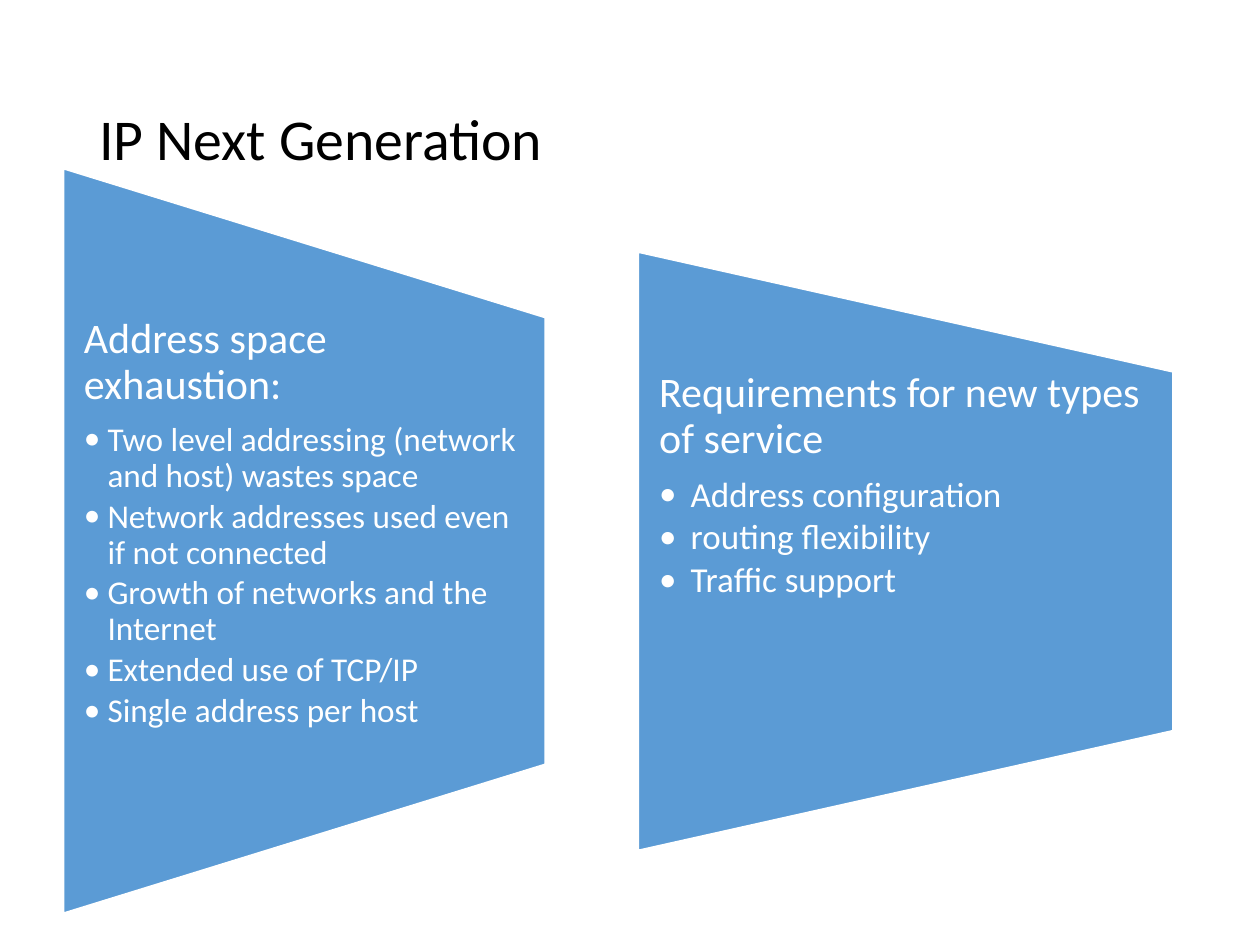
from dataclasses import dataclass

from lxml import etree
from pptx import Presentation
from pptx.dml.color import RGBColor
from pptx.enum import shapes, text
from pptx.oxml import ns
from pptx.util import Pt

FONT = "Calibri"
WHITE = "FFFFFF"
BLUE = "5B9BD5"
BLACK = "000000"


@dataclass(frozen=True)
class Box:
    left: float
    top: float
    width: float
    height: float

    def lengths(self) -> tuple:
        return Pt(self.left), Pt(self.top), Pt(self.width), Pt(self.height)

    def quarter_turned(self) -> "Box":
        shift = (self.width - self.height) / 2
        return Box(self.left + shift, self.top - shift, self.height, self.width)


@dataclass(frozen=True)
class Panel:
    outline: Box
    text_box: Box
    right_inset: float
    heading: str
    bullets: tuple[str, ...]
    bullet_size: float
    indent: float


PANELS = (
    Panel(
        Box(364.5, 143.75, 306, 342.5), Box(364.5, 212.4, 306, 205.9), 12.2,
        "Requirements for new types of service",
        ("Address configuration", "routing flexibility", "Traffic support"),
        20, 18,
    ),
    Panel(
        Box(36, 96, 275.8, 426.2), Box(35.8, 181.4, 275.8, 255.6), 11.5,
        "Address space exhaustion:",
        (
            "Two level addressing (network and host) wastes space",
            "Network addresses used even if not connected",
            "Growth of networks and the Internet",
            "Extended use of TCP/IP",
            "Single address per host",
        ),
        19, 13.5,
    ),
)


def colour(value: str) -> RGBColor:
    return RGBColor.from_string(value)


def format_paragraph(paragraph, size: float, value: str, space_after: float = 0) -> None:
    paragraph.alignment = text.PP_ALIGN.LEFT
    paragraph.line_spacing = 0.9
    paragraph.space_before = Pt(0)
    paragraph.space_after = Pt(space_after)
    paragraph.font.name = FONT
    paragraph.font.size = Pt(size)
    paragraph.font.color.rgb = colour(value)


def add_bullet(paragraph, indent: float) -> None:
    properties = paragraph._p.get_or_add_pPr()
    properties.set("marL", str(Pt(indent)))
    properties.set("indent", str(-Pt(indent)))
    etree.SubElement(properties, ns.qn("a:buFont"), typeface=FONT)
    etree.SubElement(properties, ns.qn("a:buChar"), char="•")


def add_title(slide, wording: str) -> None:
    title = slide.shapes.title
    title.left, title.top, title.width, title.height = Box(49.5, 28.8, 621, 104.4).lengths()
    title.text_frame.text = wording
    title.text_frame.vertical_anchor = text.MSO_ANCHOR.MIDDLE
    format_paragraph(title.text_frame.paragraphs[0], 33, BLACK)


def add_panel(slide, panel: Panel) -> None:
    shape = slide.shapes.add_shape(
        shapes.MSO_SHAPE.FLOWCHART_MANUAL_OPERATION,
        *panel.outline.quarter_turned().lengths(),
    )
    shape.rotation = 270
    shape.shadow.inherit = False
    shape.fill.solid()
    shape.fill.fore_color.rgb = colour(BLUE)
    shape.line.color.rgb = colour(WHITE)
    shape.line.width = Pt(1.5)

    frame = slide.shapes.add_textbox(*panel.text_box.lengths()).text_frame
    frame.word_wrap = True
    frame.margin_left, frame.margin_right = Pt(12.2), Pt(panel.right_inset)
    frame.margin_top = frame.margin_bottom = Pt(0)
    heading = frame.paragraphs[0]
    heading.text = panel.heading
    format_paragraph(heading, 24, WHITE, 8.4)
    for wording in panel.bullets:
        paragraph = frame.add_paragraph()
        paragraph.text = wording
        paragraph.level = 1
        add_bullet(paragraph, panel.indent)
        format_paragraph(paragraph, panel.bullet_size, WHITE, 2.8)


def main() -> None:
    presentation = Presentation()
    presentation.slide_width, presentation.slide_height = Pt(720), Pt(540)
    slide = presentation.slides.add_slide(presentation.slide_layouts[5])
    add_title(slide, "IP Next Generation")
    for panel in PANELS:
        add_panel(slide, panel)
    presentation.save("out.pptx")


if __name__ == "__main__":
    main()
